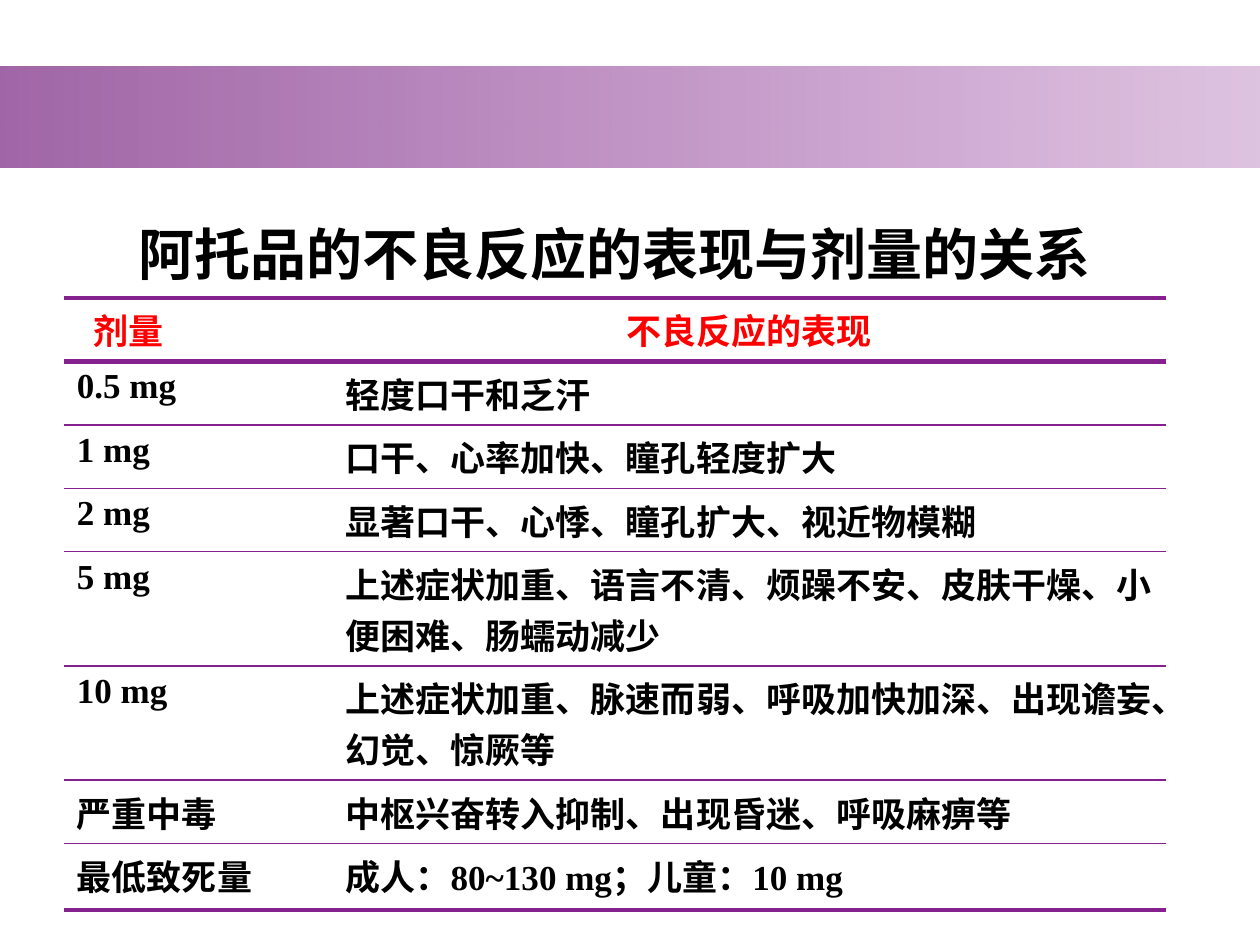
from dataclasses import dataclass

from lxml import etree
from pptx import Presentation
from pptx.dml.color import RGBColor
from pptx.enum import shapes, text
from pptx.oxml import ns
from pptx.util import Pt


@dataclass(frozen=True)
class Theme:
    deep: str = "741D7D"
    rule: str = "85218F"
    head: str = "FF0000"
    ink: str = "000000"
    latin: str = "Times New Roman"
    asian: str = "Noto Sans CJK SC"
    big: int = 32
    body: int = 20
    thick: int = 3
    thin: int = 1


THEME = Theme()
PLAIN = "{2D5ABB26-0587-4C30-8999-92F81FD0307C}"  # no style, no grid
TITLE = "阿托品的不良反应的表现与剂量的关系"
HEADS = ("剂量", "不良反应的表现")
DOSES = [
    ("0.5 mg", "轻度口干和乏汗"),
    ("1 mg", "口干、心率加快、瞳孔轻度扩大"),
    ("2 mg", "显著口干、心悸、瞳孔扩大、视近物模糊"),
    ("5 mg", "上述症状加重、语言不清、烦躁不安、皮肤干燥、小便困难、肠蠕动减少"),
    ("10 mg", "上述症状加重、脉速而弱、呼吸加快加深、出现谵妄、幻觉、惊厥等"),
    ("严重中毒", "中枢兴奋转入抑制、出现昏迷、呼吸麻痹等"),
    ("最低致死量", "成人：80~130 mg；儿童：10 mg"),
]
COLS = (153.5, 476)
ROWS = (52.5, 32.5, 33, 32.5, 35.5, 57, 57, 32.5, 38)


def child(node, tag, **attrs):
    return etree.SubElement(node, ns.qn(tag), attrs)


def write(cell, words, size=THEME.body, color=THEME.ink, font=THEME.latin, center=False):
    para = cell.text_frame.paragraphs[0]
    para.alignment = text.PP_ALIGN.CENTER if center else text.PP_ALIGN.LEFT
    run = para.add_run()
    run.text = words
    run.font.size = Pt(size)
    run.font.bold = True
    run.font.name = font
    run.font.color.rgb = RGBColor.from_string(color)
    child(run.font._element, "a:ea", typeface=THEME.asian)


def edge(cell, top, base):
    """Clear the fill and rule the top and bottom; a width of 0 draws no line."""
    cell.fill.background()
    props = cell._tc.get_or_add_tcPr()
    for spot, (tag, width) in enumerate((("a:lnT", top), ("a:lnB", base))):
        line = etree.Element(ns.qn(tag), w=str(Pt(width)))
        if width:
            child(child(line, "a:solidFill"), "a:srgbClr", val=THEME.rule)
        else:
            child(line, "a:noFill")
        props.insert(spot, line)


def band(slide, left, top, width, height):
    bar = slide.shapes.add_shape(
        shapes.MSO_SHAPE.RECTANGLE, Pt(left), Pt(top), Pt(width), Pt(height))
    bar.shadow.inherit = False
    bar.line.fill.background()
    bar.fill.gradient()
    bar.fill.gradient_angle = 0
    looks = ((0, THEME.deep, 68), (1, THEME.rule, 27))
    for stop, (place, color, alpha) in zip(bar.fill.gradient_stops, looks):
        stop.position = place
        stop.color.rgb = RGBColor.from_string(color)
        tint = stop._gs.find(ns.qn("a:srgbClr"))
        child(tint, "a:alpha", val=str(alpha * 1000))


def chart(slide, left, top, width, height):
    """Place the dose table, with its title as a merged first row."""
    frame = slide.shapes.add_table(
        len(ROWS), len(COLS), Pt(left), Pt(top), Pt(width), Pt(height))
    table = frame.table
    table.first_row = table.horz_banding = False
    table._tbl.tblPr.find(ns.qn("a:tableStyleId")).text = PLAIN
    for col, size in zip(table.columns, COLS):
        col.width = Pt(size)
    for row, size in zip(table.rows, ROWS):
        row.height = Pt(size)

    last = len(ROWS) - 1
    rules = [0, THEME.thick, THEME.thick] + [THEME.thin] * (last - 2) + [THEME.thick]
    for row, pair in enumerate(zip(rules, rules[1:])):
        for col in range(len(COLS)):
            edge(table.cell(row, col), *pair)

    title = table.cell(0, 0)
    title.merge(table.cell(0, 1))
    write(title, TITLE, size=THEME.big, font=THEME.asian, center=True)
    for col, words in enumerate(HEADS):
        write(table.cell(1, col), words, color=THEME.head, center=col == 1)
    table.cell(1, 0).margin_left = Pt(16.5)
    for row, pair in enumerate(DOSES, 2):
        for col, words in enumerate(pair):
            write(table.cell(row, col), words)


def main():
    deck = Presentation()
    deck.slide_width, deck.slide_height = Pt(720), Pt(540)
    slide = deck.slides.add_slide(deck.slide_layouts[6])
    band(slide, 0, 38.2, 720, 57.6)
    chart(slide, 36.7, 116.6, sum(COLS), sum(ROWS))
    deck.save("out.pptx")


if __name__ == "__main__":
    main()
